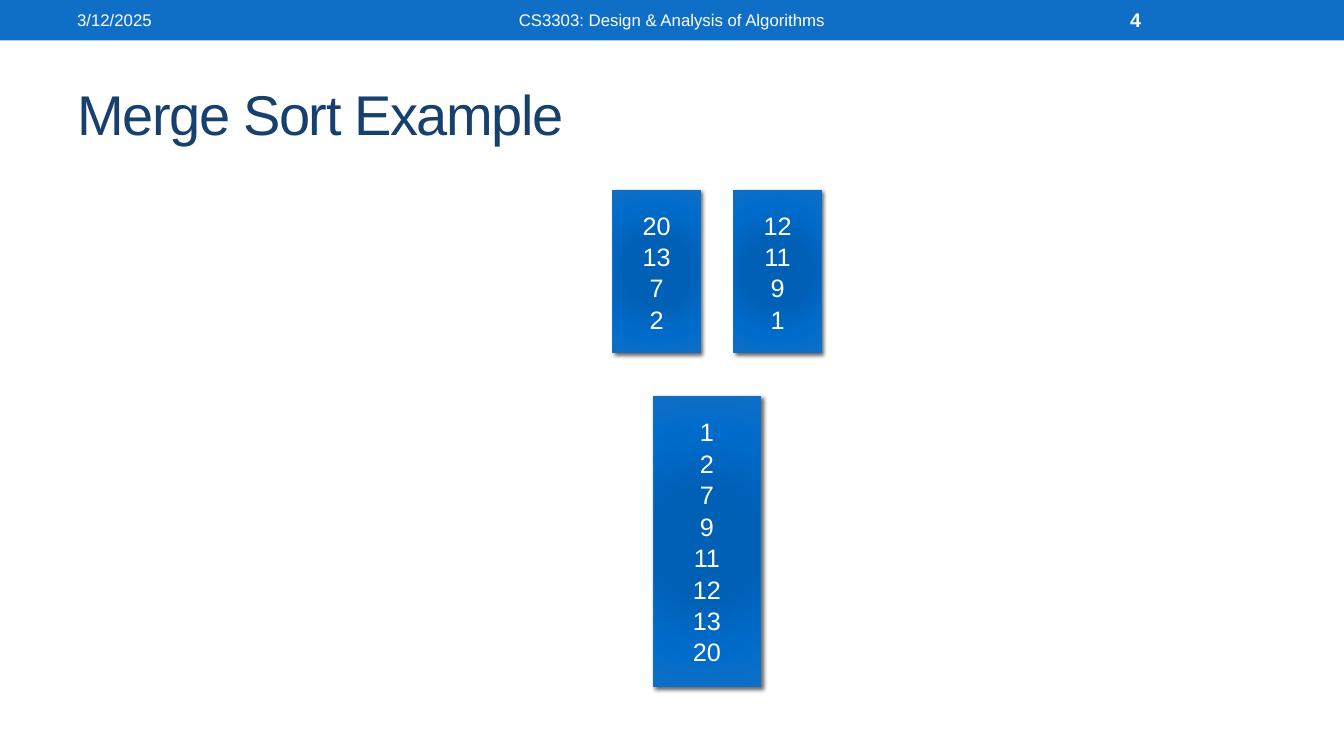
from dataclasses import dataclass

from lxml.etree import SubElement
from pptx import Presentation
from pptx.dml.color import RGBColor
from pptx.enum.shapes import MSO_SHAPE
from pptx.enum.text import MSO_ANCHOR, MSO_AUTO_SIZE, PP_ALIGN
from pptx.oxml.ns import qn
from pptx.util import Inches, Pt


@dataclass(frozen=True)
class Theme:
    font: str = "Arial"
    white: str = "FFFFFF"
    navy: str = "17406D"
    blue: str = "0F6FC6"
    shadow: str = "000000"
    # Centre-to-edge stops of the list boxes, in percent
    gradient: tuple = ((0, "0060B6"), (34, "0060B6"), (70, "006BCB"), (100, "0F6FC6"))
    title_size: int = 40
    list_size: int = 18
    number_size: int = 14
    header_size: int = 12


THEME = Theme()
WIDTH, HEIGHT = Inches(13.33), Inches(7.5)
GRID = 20  # columns and rows across the slide
MARGIN = 1
HEADER_TOP, HEADER_ROWS = 0.05, 0.96
LIST_LEFT, LIST_STEP, LIST_COLUMNS = 9.12, 1.8, 1.3


def cells(left, top, columns, rows):
    """Turn grid columns and rows into slide lengths."""
    return (int(WIDTH * left / GRID), int(HEIGHT * top / GRID),
            int(WIDTH * columns / GRID), int(HEIGHT * rows / GRID))


def write(shape, *lines, size, color=THEME.white, bold=False,
          align=PP_ALIGN.LEFT, line_spacing=None, tracking=None):
    """Write one paragraph per line, all in the same format."""
    frame = shape.text_frame
    frame.word_wrap = True
    frame.auto_size = MSO_AUTO_SIZE.NONE
    frame.vertical_anchor = MSO_ANCHOR.MIDDLE
    for index, line in enumerate(lines):
        paragraph = frame.add_paragraph() if index else frame.paragraphs[0]
        paragraph.alignment = align
        if line_spacing:
            paragraph.line_spacing = line_spacing
        run = paragraph.add_run()
        run.text = line
        run.font.name = THEME.font
        run.font.size = Pt(size)
        run.font.bold = bold
        run.font.color.rgb = RGBColor.from_string(color)
        if tracking:
            run.font._element.set("spc", str(tracking * 100))


def add_rectangle(slide, *area):
    shape = slide.shapes.add_shape(MSO_SHAPE.RECTANGLE, *cells(*area))
    shape.shadow.inherit = False
    shape.fill.solid()
    shape.fill.fore_color.rgb = RGBColor.from_string(THEME.blue)
    return shape


def add_header_text(slide, text, left, columns, **text_format):
    box = slide.shapes.add_textbox(*cells(left, HEADER_TOP, columns, HEADER_ROWS))
    write(box, text, **text_format)


def add_radial_fill(shape):
    shape.fill.gradient()
    gradient = shape._element.spPr.find(qn("a:gradFill"))
    for child in list(gradient):
        gradient.remove(child)
    stops = SubElement(gradient, qn("a:gsLst"))
    for position, color in THEME.gradient:
        stop = SubElement(stops, qn("a:gs"), pos=str(position * 1000))
        SubElement(stop, qn("a:srgbClr"), val=color)
    circle = SubElement(gradient, qn("a:path"), path="circle")
    SubElement(circle, qn("a:fillToRect"), {side: "100000" for side in "ltrb"})


def add_shadow(shape):
    effects = shape._element.spPr.find(qn("a:effectLst"))
    shadow = SubElement(effects, qn("a:outerShdw"), blurRad=str(Pt(3)),
                        dist=str(Pt(2)), dir=str(45 * 60000), rotWithShape="0")
    color = SubElement(shadow, qn("a:srgbClr"), val=THEME.shadow)
    SubElement(color, qn("a:alpha"), val="60000")


def add_list_box(slide, numbers, *area):
    box = add_rectangle(slide, *area)
    add_radial_fill(box)
    add_shadow(box)
    box.line.color.rgb = RGBColor.from_string(THEME.blue)
    box.line.width = Pt(0.75)
    write(box, *map(str, numbers), size=THEME.list_size,
          align=PP_ALIGN.CENTER, line_spacing=1.04)


def main():
    presentation = Presentation()
    presentation.slide_width, presentation.slide_height = WIDTH, HEIGHT
    slide = presentation.slides.add_slide(presentation.slide_layouts[5])

    # Header band
    band = add_rectangle(slide, 0, 0, GRID, 1.07)
    band.line.fill.background()
    add_header_text(slide, "3/12/2025", MARGIN, 2.37, size=THEME.header_size)
    add_header_text(slide, "CS3303: Design & Analysis of Algorithms", 3.5, 13,
                    size=THEME.header_size, align=PP_ALIGN.CENTER)
    add_header_text(slide, "4", 16.67, 2.33, size=THEME.number_size, bold=True)

    # Title
    title = slide.shapes.title
    title.left, title.top, title.width, title.height = cells(
        MARGIN, 1.55, GRID - 2 * MARGIN, 2.88)
    write(title, "Merge Sort Example", size=THEME.title_size,
          color=THEME.navy, tracking=-1)

    # Sorted halves, then the merged list
    halves = [(20, 13, 7, 2), (12, 11, 9, 1)]
    for index, half in enumerate(halves):
        add_list_box(slide, half, LIST_LEFT + index * LIST_STEP, 5.04,
                     LIST_COLUMNS, 4.29)
    add_list_box(slide, sorted(sum(halves, ())), 9.72, 10.48, 1.6, 7.68)

    presentation.save("out.pptx")


if __name__ == "__main__":
    main()
